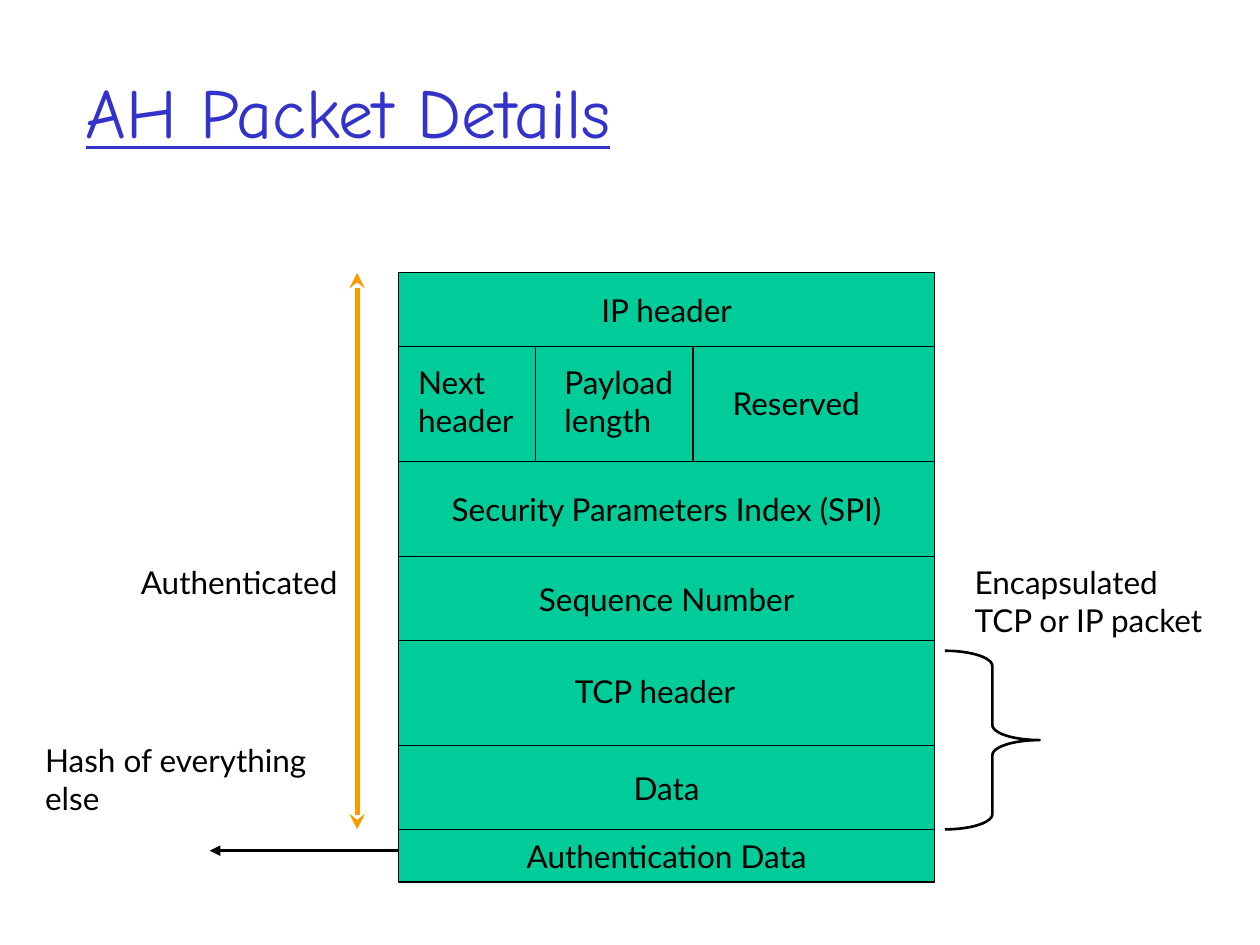
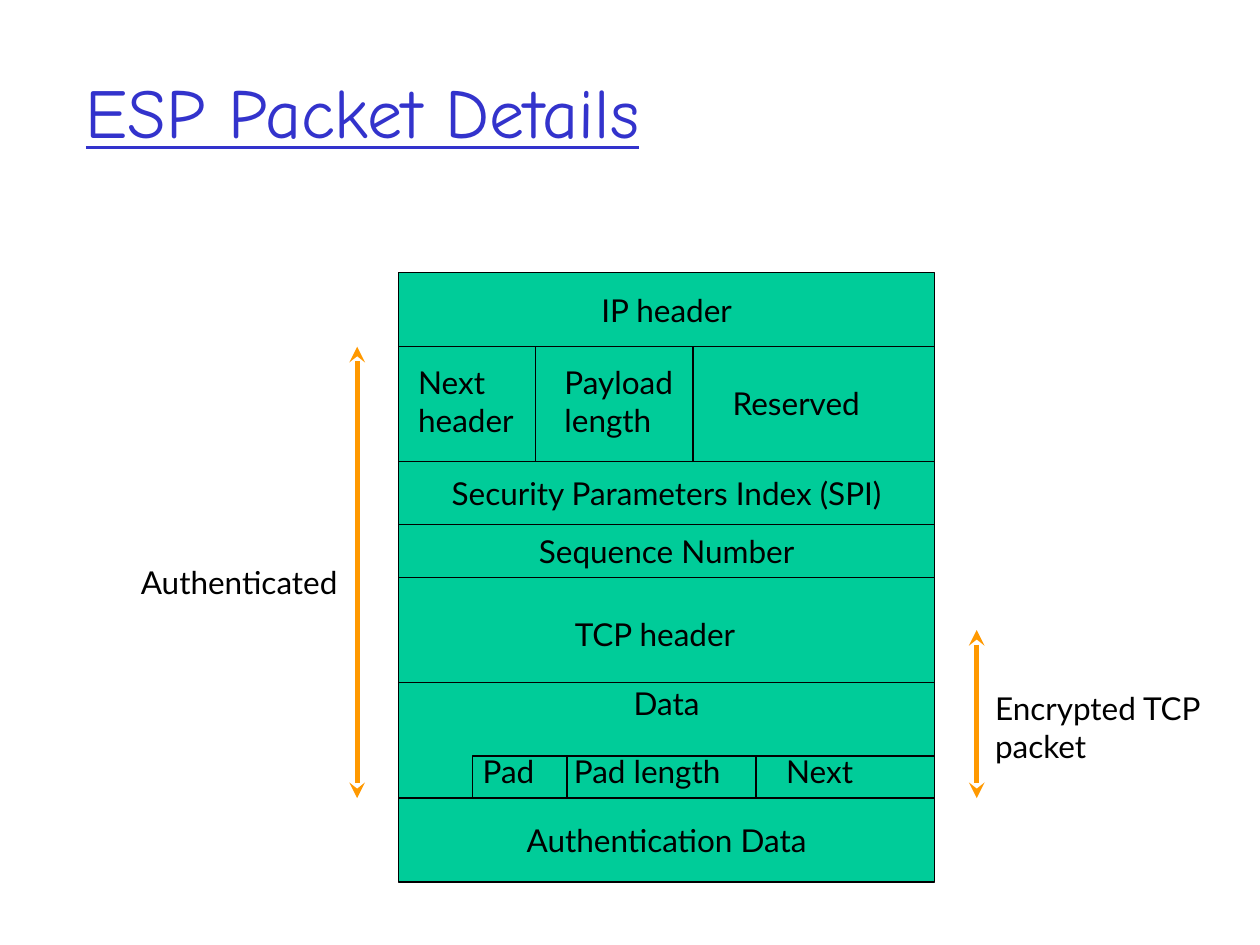
import lxml.etree
import pptx
import pptx.dml.color
import pptx.enum.shapes
import pptx.enum.text
import pptx.oxml.ns
import pptx.util
from dataclasses import dataclass

Cm = pptx.util.Cm
Pt = pptx.util.Pt
ALIGN = pptx.enum.text.PP_ALIGN
ANCHOR = pptx.enum.text.MSO_ANCHOR
AUTO_SIZE = pptx.enum.text.MSO_AUTO_SIZE
SHAPE = pptx.enum.shapes.MSO_SHAPE
STRAIGHT = pptx.enum.shapes.MSO_CONNECTOR.STRAIGHT


@dataclass(frozen=True)
class Theme:
    title_color: str = "3333CC"
    ink: str = "000000"
    field_fill: str = "00CC99"
    span_color: str = "FF9900"
    title_font: str = "Comic Neue"
    body_font: str = "Lato"
    title_size: float = 40
    body_size: float = 18
    thin: float = 0.75
    medium: float = 1.5
    thick: float = 3


THEME = Theme()
TITLE_FONT = {"name": THEME.title_font, "size": Pt(THEME.title_size), "underline": True}
BODY_FONT = {"name": THEME.body_font, "size": Pt(THEME.body_size)}

PACKET_LEFT, PACKET_TOP, PACKET_WIDTH = 8.04, 5.5, 10.8
PACKET_RIGHT = PACKET_LEFT + PACKET_WIDTH
AH_FIELDS_TOP, AH_FIELDS_BOTTOM = 6.99, 9.31
LINE_HEIGHT, LABEL_PADDING = 0.76, 0.26

SHARED_ROWS = [("IP header", AH_FIELDS_TOP), ("", AH_FIELDS_BOTTOM)]
SHARED_LABELS = [
    ("Next\nheader", 8.18, 7.2, 2.62),
    ("Payload\nlength", 11.13, 7.2, 2.86),
    ("Reserved", 14.52, 7.62, 3.24),
    ("Authenticated", 2.59, 11.22, 4.7),
]
SHARED_DIVIDERS = [(x, AH_FIELDS_TOP, AH_FIELDS_BOTTOM) for x in (10.8, 13.97)]

PACKETS = [
    {
        "title": "AH Packet Details",
        "rows": [
            ("Security Parameters Index (SPI)", 11.22),
            ("Sequence Number", 12.91),
            ("", 15.03),
            ("Data", 16.72),
            ("Authentication Data", 17.78),
        ],
        "labels": [
            ("TCP header", 11.34, 13.42, 3.92),
            ("Encapsulated\nTCP or IP packet", 19.4, 11.22, 5.35),
            ("Hash of everything\nelse", 0.66, 14.82, 6.14),
        ],
        "dividers": [],
        "spans": [(7.2, 5.5, 16.72)],
        "brace": (19.05, 13.12, 1.91, 3.6),
        "hash_arrow": (PACKET_LEFT, 17.15, 4.23, 17.15),
    },
    {
        "title": "ESP Packet Details",
        "rows": [
            ("Security Parameters Index (SPI)", 10.58),
            ("Sequence Number", 11.64),
            ("", 13.76),
            ("Data", 16.09),
            ("Authentication Data", 17.78),
        ],
        "labels": [
            ("TCP header", 11.34, 12.28, 3.92),
            ("Pad", 9.48, 15.03, 1.62),
            ("Pad length", 11.32, 15.03, 3.73),
            ("Next", 15.6, 15.03, 1.9),
            ("Encrypted TCP\npacket", 19.81, 13.76, 4.98),
        ],
        "dividers": [(x, 16.09, 15.24) for x in (11.43, 15.24)],
        "spans": [(7.2, 6.99, 16.09), (19.69, 12.7, 16.09)],
        "trailer": [(9.52, 16.09), (9.52, 15.24), (PACKET_RIGHT, 15.24)],
        "top_anchored": "Data",
    },
]


def rgb(color):
    return pptx.dml.color.RGBColor.from_string(color)


def set_values(target, values):
    for name, value in values.items():
        setattr(target, name, value)


def write(shape, text, font, color, frame_values, alignment=ALIGN.LEFT):
    frame = shape.text_frame
    set_values(frame, frame_values)
    frame.text = text
    for paragraph in frame.paragraphs:
        paragraph.alignment = alignment
        set_values(paragraph.font, font)
        paragraph.font.color.rgb = rgb(color)


def style_line(line, color, width):
    line.color.rgb = rgb(color)
    line.width = Pt(width)


def style_shape(shape, line_width, fill=None):
    shape.shadow.inherit = False
    if fill:
        shape.fill.solid()
        shape.fill.fore_color.rgb = rgb(fill)
    else:
        shape.fill.background()
    style_line(shape.line, THEME.ink, line_width)


def add_text(slide, text, box, font, color, frame_values):
    shape = slide.shapes.add_textbox(*map(Cm, box))
    write(shape, text, font, color, frame_values)


def add_label(slide, text, left, top, width):
    height = LABEL_PADDING + LINE_HEIGHT * len(text.split("\n"))
    add_text(slide, text, (left, top, width, height), BODY_FONT, THEME.ink,
             {"word_wrap": False, "auto_size": AUTO_SIZE.SHAPE_TO_FIT_TEXT})


def add_element(parent, tag, **attributes):
    lxml.etree.SubElement(parent, pptx.oxml.ns.qn(tag), **attributes)


def add_line(slide, ends, color, width, arrowheads=()):
    connector = slide.shapes.add_connector(STRAIGHT, *map(Cm, ends))
    style_line(connector.line, color, width)
    properties = connector._element.spPr
    outline = properties.find(pptx.oxml.ns.qn("a:ln"))
    for end, kind in arrowheads:
        add_element(outline, f"a:{end}", type=kind)
    add_element(properties, "a:effectLst")


def add_rows(slide, rows, top_anchored):
    top = PACKET_TOP
    for text, bottom in rows:
        shape = slide.shapes.add_shape(
            SHAPE.RECTANGLE, *map(Cm, (PACKET_LEFT, top, PACKET_WIDTH, bottom - top)))
        style_shape(shape, THEME.thin, THEME.field_fill)
        if text:
            frame_values = {"word_wrap": False, "vertical_anchor": ANCHOR.MIDDLE}
            if text == top_anchored:
                frame_values.update(vertical_anchor=ANCHOR.TOP, margin_top=Cm(0.03))
            write(shape, text, BODY_FONT, THEME.ink, frame_values, ALIGN.CENTER)
        top = bottom


def add_packet(presentation, packet):
    slide = presentation.slides.add_slide(presentation.slide_layouts[6])
    add_text(slide, packet["title"], (1.48, 0.64, 21.59, 3.18), TITLE_FONT,
             THEME.title_color, {"word_wrap": True, "vertical_anchor": ANCHOR.MIDDLE})
    add_rows(slide, SHARED_ROWS + packet["rows"], packet.get("top_anchored"))
    for x, start, end in SHARED_DIVIDERS + packet["dividers"]:
        add_line(slide, (x, start, x, end), THEME.ink, THEME.thin)
    for x, start, end in packet["spans"]:
        add_line(slide, (x, start, x, end), THEME.span_color, THEME.thick,
                 [("headEnd", "stealth"), ("tailEnd", "stealth")])
    if "trailer" in packet:
        start, *corners = [(Cm(x), Cm(y)) for x, y in packet["trailer"]]
        builder = slide.shapes.build_freeform(*start)
        builder.add_line_segments(corners, close=False)
        style_shape(builder.convert_to_shape(), THEME.thin)
    if "brace" in packet:
        brace = slide.shapes.add_shape(SHAPE.RIGHT_BRACE, *map(Cm, packet["brace"]))
        brace.adjustments[0] = 0.16
        style_shape(brace, THEME.medium)
    if "hash_arrow" in packet:
        add_line(slide, packet["hash_arrow"], THEME.ink, THEME.medium,
                 [("tailEnd", "triangle")])
    for label in SHARED_LABELS + packet["labels"]:
        add_label(slide, *label)


def main():
    presentation = pptx.Presentation()
    set_values(presentation, {"slide_width": Cm(25.4), "slide_height": Cm(19.05)})
    for packet in PACKETS:
        add_packet(presentation, packet)
    presentation.save("out.pptx")


if __name__ == "__main__":
    main()
